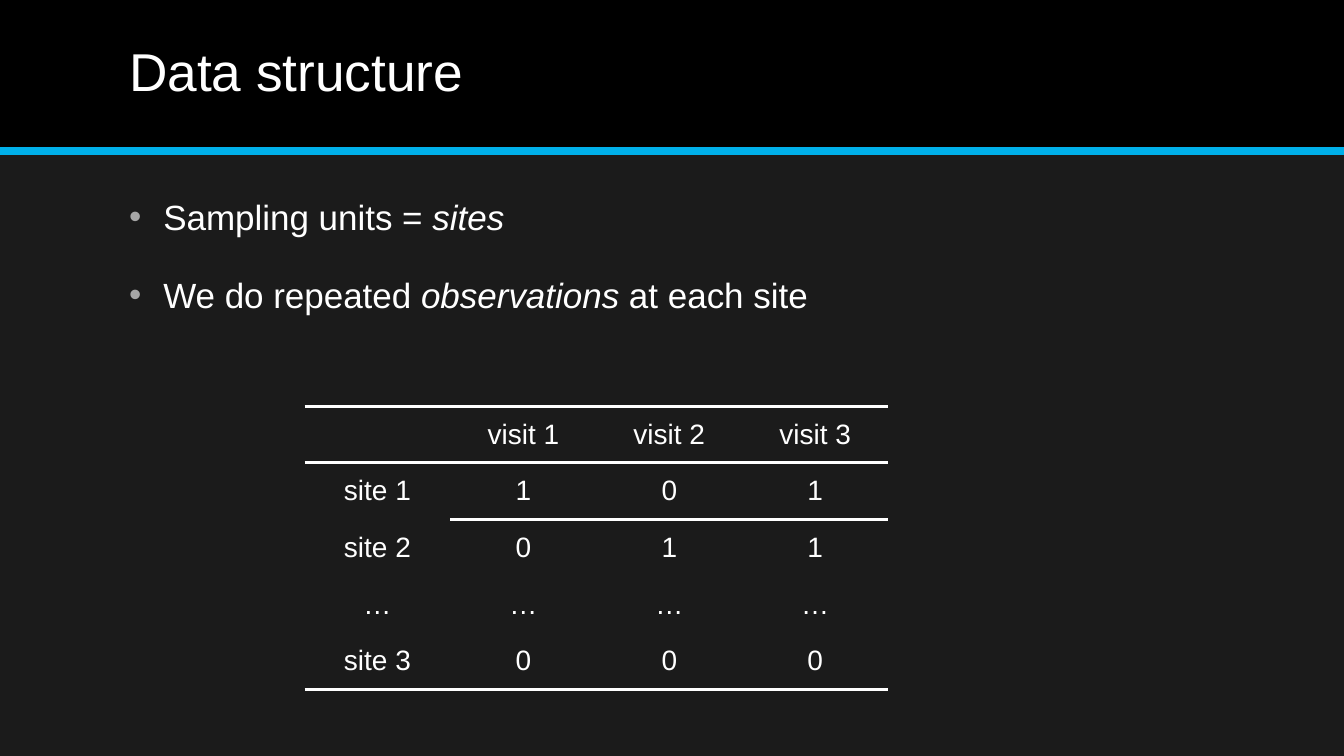
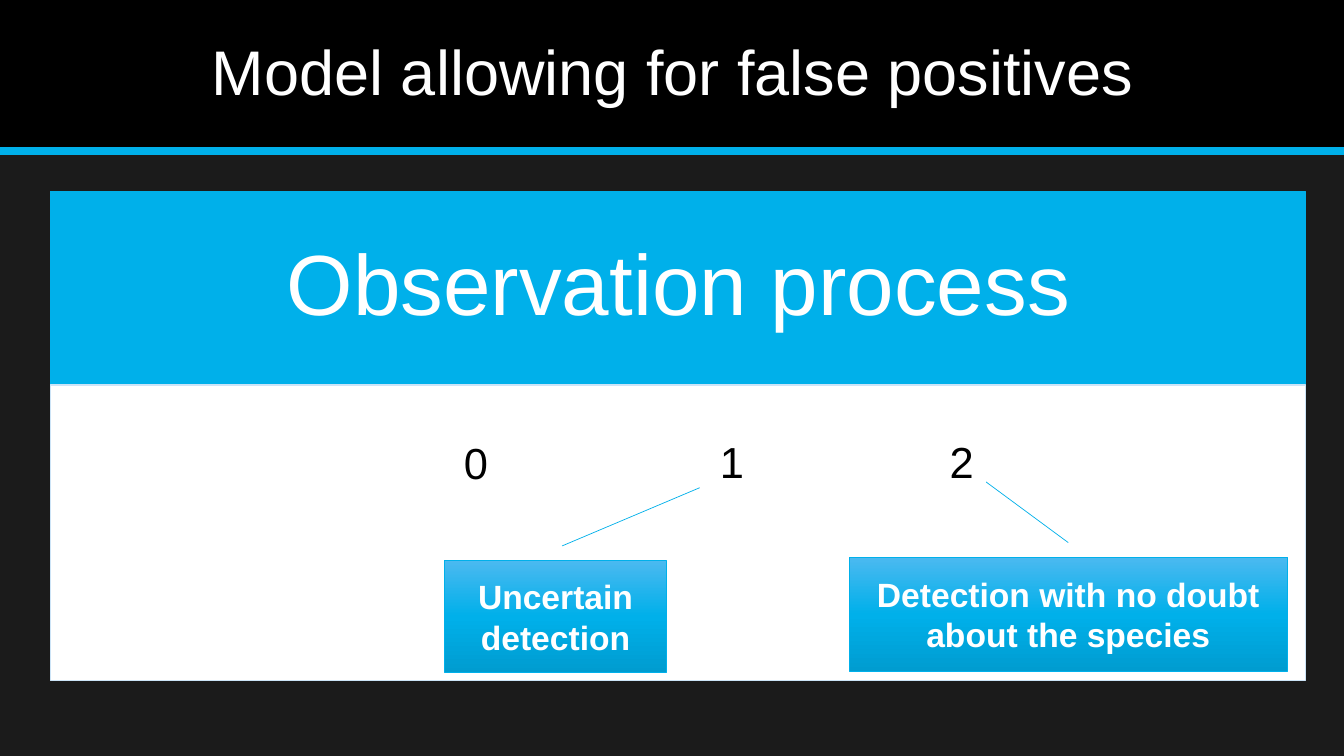
from copy import deepcopy

from lxml import etree
from pptx import Presentation
from pptx.dml.color import RGBColor
from pptx.enum.shapes import MSO_CONNECTOR, MSO_SHAPE
from pptx.enum.text import MSO_ANCHOR, PP_ALIGN
from pptx.oxml.ns import qn
from pptx.util import Inches, Pt

RECT = MSO_SHAPE.RECTANGLE
CALLOUT = MSO_SHAPE.LINE_CALLOUT_1
STRAIGHT = MSO_CONNECTOR.STRAIGHT
LEFT, CENTER = PP_ALIGN.LEFT, PP_ALIGN.CENTER
TOP, MIDDLE = MSO_ANCHOR.TOP, MSO_ANCHOR.MIDDLE

FONT = "Arial"
SLIDE_W, SLIDE_H = 13.33, 7.5
BAND_H = 1.5
COLORS = {
    "ground": "1B1B1B",
    "band": "000000",
    "accent": "00B0EA",
    "accent_light": "4BB9F0",
    "accent_dark": "009CD0",
    "panel_edge": "CCE4F7",
    "bullet": "A6A6A6",
    "white": "FFFFFF",
    "black": "000000",
}


def rgb(name):
    return RGBColor.from_string(COLORS[name])


def style_font(paragraph, size, color="white", bold=False):
    font = paragraph.font
    font.name, font.size, font.bold = FONT, Pt(size), bold
    font.color.rgb = rgb(color)


def set_frame(frame, anchor, wrap=True):
    frame.word_wrap = wrap
    frame.vertical_anchor = anchor
    frame.margin_left = frame.margin_right = Inches(0.11)
    frame.margin_top = frame.margin_bottom = Inches(0.06)


def write(shape, text, size, color="white", align=CENTER, anchor=MIDDLE,
          spacing=None, bold=False, wrap=True):
    set_frame(shape.text_frame, anchor, wrap)
    paragraph = shape.text_frame.paragraphs[0]
    paragraph.text = text
    paragraph.alignment = align
    if spacing:
        paragraph.line_spacing = spacing
    style_font(paragraph, size, color, bold)


def add_block(slide, box, fill, line=None, width=1, kind=RECT):
    block = slide.shapes.add_shape(kind, *map(Inches, box))
    block.shadow.inherit = False
    block.fill.solid()
    block.fill.fore_color.rgb = rgb(fill)
    if line:
        block.line.color.rgb = rgb(line)
        block.line.width = Pt(width)
    else:
        block.line.fill.background()
    return block


def add_titled_slide(deck, title, size, align):
    slide = deck.slides.add_slide(deck.slide_layouts[6])
    slide.background.fill.solid()
    slide.background.fill.fore_color.rgb = rgb("ground")
    add_block(slide, (0, 0, SLIDE_W, BAND_H), "band")
    rule = slide.shapes.add_connector(
        STRAIGHT, 0, Inches(BAND_H), Inches(SLIDE_W), Inches(BAND_H))
    rule.line.color.rgb = rgb("accent")
    rule.line.width = Pt(6)
    etree.SubElement(rule._element.spPr, qn("a:effectLst"))
    heading = slide.shapes.add_textbox(*map(Inches, (1.17, 0.14, 11, 1.2)))
    write(heading, title, size, align=align, spacing=0.9)
    return slide


def add_bullet(paragraph):
    properties = paragraph._p.get_or_add_pPr()
    properties.set("marL", str(Inches(0.34)))
    properties.set("indent", str(-Inches(0.34)))
    color = etree.SubElement(properties, qn("a:buClr"))
    etree.SubElement(color, qn("a:srgbClr"), val=COLORS["bullet"])
    etree.SubElement(properties, qn("a:buFont"), typeface=FONT)
    etree.SubElement(properties, qn("a:buChar"), char="•")


def add_bullets(slide, box, items):
    frame = slide.shapes.add_textbox(*map(Inches, box)).text_frame
    set_frame(frame, TOP)
    for index, runs in enumerate(items):
        paragraph = frame.add_paragraph() if index else frame.paragraphs[0]
        add_bullet(paragraph)
        if index:
            paragraph.space_before = Pt(26)
        style_font(paragraph, 25)
        for text, italic in runs:
            run = paragraph.add_run()
            run.text = text
            run.font.italic = italic


def set_borders(cell, ruled_top, ruled_bottom):
    properties = cell._tc.get_or_add_tcPr()
    sides = (("L", False), ("R", False), ("T", ruled_top), ("B", ruled_bottom))
    for index, (side, ruled) in enumerate(sides):
        border = etree.Element(qn(f"a:ln{side}"), w=str(Pt(2.25)))
        if ruled:
            fill = etree.SubElement(border, qn("a:solidFill"))
            etree.SubElement(fill, qn("a:srgbClr"), val=COLORS["white"])
        else:
            etree.SubElement(border, qn("a:noFill"))
        properties.insert(index, border)


def add_visit_table(slide, box, rows):
    row_count, column_count = len(rows), len(rows[0])
    table = slide.shapes.add_table(
        row_count, column_count, *map(Inches, box)).table
    table.first_row = table.horz_banding = False

    def is_ruled(edge, column):
        return edge in (0, 1, row_count) or (edge == 2 and column > 0)

    for r, values in enumerate(rows):
        for c, value in enumerate(values):
            cell = table.cell(r, c)
            cell.fill.background()
            cell.vertical_anchor = MIDDLE
            paragraph = cell.text_frame.paragraphs[0]
            paragraph.text = value
            paragraph.alignment = CENTER
            style_font(paragraph, 20)
            set_borders(cell, is_ruled(r, c), is_ruled(r + 1, c))


def add_callout(slide, text, box, pointer):
    callout = add_block(slide, box, "accent", "accent", 0.5, CALLOUT)
    for index, value in enumerate(pointer):
        callout.adjustments[index] = value
    callout.fill.gradient()
    callout.fill.gradient_angle = 270
    stop_list = callout._element.spPr.find(".//" + qn("a:gsLst"))
    stop_list.append(deepcopy(stop_list[-1]))
    shades = ("accent_light", "accent", "accent_dark")
    for index, (stop, shade) in enumerate(
            zip(callout.fill.gradient_stops, shades)):
        stop.position = index / 2
        stop.color.rgb = rgb(shade)
    write(callout, text, 24, bold=True)


def add_state(slide, text, left, top):
    state = slide.shapes.add_textbox(
        *map(Inches, (left, top, 0.47, 0.64)))
    state.fill.solid()
    state.fill.fore_color.rgb = rgb("white")
    write(state, text, 31, "black", LEFT, TOP, wrap=False)


def build_data_structure(deck):
    slide = add_titled_slide(deck, "Data structure", 38, LEFT)
    add_bullets(slide, (1.17, 1.88, 11, 4.88), [
        [("Sampling units = ", False), ("sites", True)],
        [("We do repeated ", False), ("observations", True),
         (" at each site", False)],
    ])
    add_visit_table(slide, (3.02, 4.03, 5.79, 2.81), [
        ["", "visit 1", "visit 2", "visit 3"],
        ["site 1", "1", "0", "1"],
        ["site 2", "0", "1", "1"],
        ["…", "…", "…", "…"],
        ["site 3", "0", "0", "0"],
    ])


def build_false_positives(deck):
    slide = add_titled_slide(
        deck, "Model allowing for false positives", 45, CENTER)
    process = add_block(slide, (0.5, 1.9, 12.45, 1.92), "accent", "accent")
    write(process, "Observation process", 61, spacing=0.9)
    add_block(slide, (0.5, 3.82, 12.45, 2.93), "white", "panel_edge")
    add_callout(slide, "Uncertain detection", (4.41, 5.56, 2.2, 1.11),
                (-0.65, 1.15, -0.13, 0.53))
    add_callout(slide, "Detection with no doubt about the species",
                (8.42, 5.53, 4.35, 1.13), (-0.67, 0.31, -0.13, 0.5))
    for text, left, top in (("0", 4.49, 4.27), ("1", 7.03, 4.26),
                            ("2", 9.31, 4.26)):
        add_state(slide, text, left, top)


def main():
    deck = Presentation()
    deck.slide_width, deck.slide_height = Inches(SLIDE_W), Inches(SLIDE_H)
    build_data_structure(deck)
    build_false_positives(deck)
    deck.save("out.pptx")


if __name__ == "__main__":
    main()
